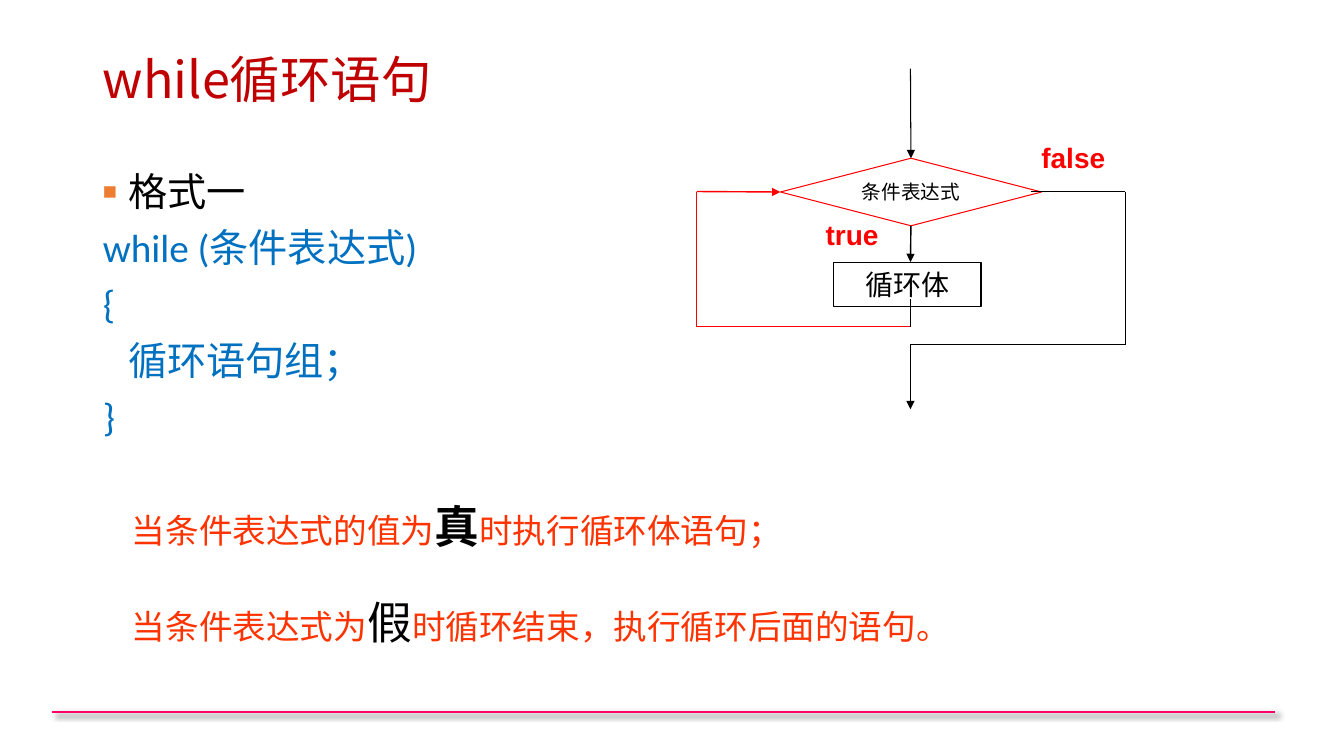
"""Builds the slide on the while loop with its flowchart."""
from lxml import etree
from pptx import Presentation
from pptx.dml.color import RGBColor
from pptx.enum.lang import MSO_LANGUAGE_ID as LANG
from pptx.enum.shapes import MSO_CONNECTOR, MSO_SHAPE
from pptx.enum.text import MSO_ANCHOR, MSO_AUTO_SIZE, PP_ALIGN
from pptx.oxml import parse_xml
from pptx.oxml.ns import nsdecls, qn
from pptx.util import Inches, Pt


def write(p, text, size=24, color="000000", font="Arial", bold=False):
    r = p.add_run()
    r.text = text
    f = r.font
    f.size, f.bold, f.name = Pt(size), bold, font
    f.language_id = LANG.SIMPLIFIED_CHINESE
    f.color.rgb = RGBColor.from_string(color)
    ea = etree.Element(qn("a:ea"), typeface=font)
    r._r.rPr.find(qn("a:latin")).addnext(ea)


def connect(x1, y1, x2, y2, color="000000", width=1, arrow=False):
    c = s.shapes.add_connector(MSO_CONNECTOR.STRAIGHT, *map(Inches, (x1, y1, x2, y2)))
    c.line.color.rgb = RGBColor.from_string(color)
    c.line.width = Pt(width)
    if arrow:
        etree.SubElement(c.line._get_or_add_ln(), qn("a:tailEnd"), type="triangle")
    etree.SubElement(c._element.spPr, qn("a:effectLst"))
    return c


prs = Presentation()
prs.slide_width, prs.slide_height = Inches(13.33), Inches(7.5)
s = prs.slides.add_slide(prs.slide_layouts[1])

footer = connect(0.52, 7.06, 12.65, 7.06, "FF0066", 1.5)
footer._element.spPr.find(qn("a:effectLst")).append(parse_xml(
    f'<a:outerShdw {nsdecls("a")} blurRad="{Pt(4)}" dist="{Pt(3)}" dir="2700000" '
    'algn="tl" rotWithShape="0"><a:srgbClr val="000000"><a:alpha val="40000"/>'
    '</a:srgbClr></a:outerShdw>'))

title, body = s.placeholders
for ph, box in ((title, (0.92, 0.4, 11.5, 0.83)), (body, (0.92, 1.66, 5.2, 5.1))):
    ph.left, ph.top, ph.width, ph.height = map(Inches, box)
    ph.text_frame.auto_size = MSO_AUTO_SIZE.NONE
    ph.text_frame.word_wrap = True
title.text_frame.vertical_anchor = MSO_ANCHOR.MIDDLE
p = title.text_frame.paragraphs[0]
p.alignment, p.line_spacing = PP_ALIGN.LEFT, 0.9
write(p, "while循环语句", 36, "C00000", "Noto Sans CJK SC")

tf = body.text_frame
lines = ["格式一", "while (条件表达式)", "{", "循环语句组；", "}"]
for i, text in enumerate(lines):
    p = tf.paragraphs[0] if i == 0 else tf.add_paragraph()
    p.line_spacing, p.space_before = 0.9, Pt(10 if i else 0)
    pPr = p._p.get_or_add_pPr()
    pPr.set("marL", str(Inches(0.25)))
    pPr.set("indent", str(0 if i == 3 else -Inches(0.25)))
    if i == 0:
        clr = etree.SubElement(pPr, qn("a:buClr"))
        etree.SubElement(clr, qn("a:srgbClr"), val="ED7D31")
        etree.SubElement(pPr, qn("a:buSzPct"), val="60000")
        etree.SubElement(pPr, qn("a:buFont"), typeface="Arial")
        etree.SubElement(pPr, qn("a:buChar"), char="■")
    else:
        etree.SubElement(pPr, qn("a:buNone"))
    write(p, text, 28, "0070C0" if i else "000000", "Calibri")

nodes = []
for kind, box, color, text, size in (
        (MSO_SHAPE.FLOWCHART_DECISION, (7.74, 1.57, 2.59, 0.67), "FF0000", "条件表达式", 14),
        (MSO_SHAPE.FLOWCHART_PROCESS, (8.27, 2.6, 1.46, 0.44), "000000", "循环体", 20)):
    sp = s.shapes.add_shape(kind, *map(Inches, box))
    sp.shadow.inherit = False
    sp.fill.background()
    sp.line.color.rgb = RGBColor.from_string(color)
    sp.line.width = Pt(0.75)
    tf = sp.text_frame
    tf.margin_left = tf.margin_right = tf.margin_top = tf.margin_bottom = 0
    tf.word_wrap, tf.vertical_anchor = False, MSO_ANCHOR.MIDDLE
    tf.paragraphs[0].alignment = PP_ALIGN.CENTER
    write(tf.paragraphs[0], text, size)
    nodes.append(sp)
decision, process = nodes

mid, left, right = 9.03, 6.91, 11.16
test_y, back_y, exit_y = 1.9, 3.24, 3.42
connect(mid, 0.68, mid, 1.57, width=0.75, arrow=True).end_connect(decision, 0)
connect(mid, 2.24, mid, 2.6, arrow=True).begin_connect(decision, 2)
connect(10.23, test_y, right, test_y)
connect(right, test_y, right, exit_y)
connect(right, exit_y, mid, exit_y)
connect(mid, exit_y, mid, 4.06, width=0.75, arrow=True)
connect(mid, 2.97, mid, back_y)
connect(mid, back_y, left, back_y, "FF0000")
connect(left, back_y, left, test_y, "FF0000")
connect(left, test_y, 7.74, test_y, "FF0000", arrow=True).end_connect(decision, 1)

for x, y, text in ((8.09, 2.11, "true"), (10.23, 1.34, "false")):
    tf = s.shapes.add_textbox(*map(Inches, (x, y, 0.93, 0.43))).text_frame
    tf.word_wrap = True
    write(tf.paragraphs[0], text, 20, "FF0000", bold=True)

tf = s.shapes.add_textbox(*map(Inches, (1.21, 4.9, 10.89, 1.95))).text_frame
tf.word_wrap = True
notes = [("当条件表达式的值为", "真", "时执行循环体语句；", True),
         ("当条件表达式为", "假", "时循环结束，执行循环后面的语句。", False)]
for i, (before, key, after, bold) in enumerate(notes):
    p = tf.add_paragraph() if i else tf.paragraphs[0]
    p.space_before = Pt(30 if i else 0)
    write(p, before, color="FF3300")
    write(p, key, 32, bold=bold)
    write(p, after, color="FF3300")

prs.save("out.pptx")
